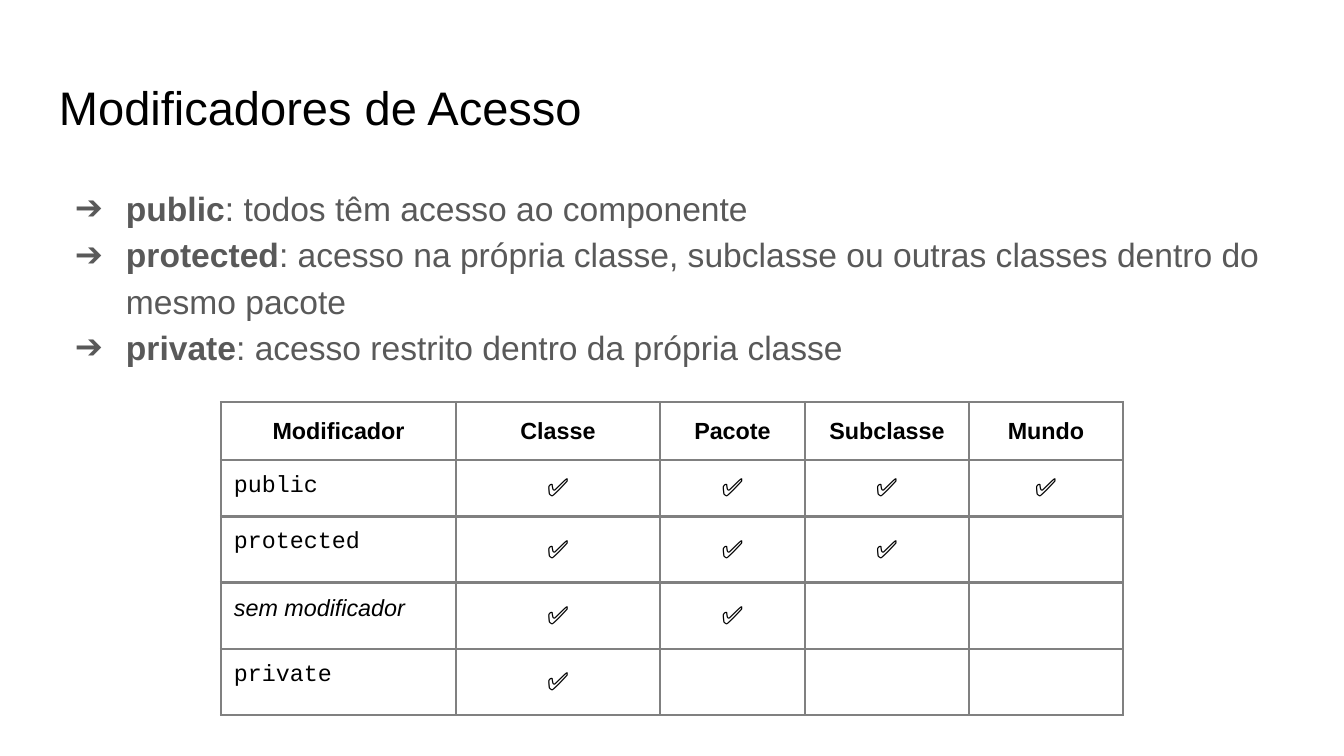
from dataclasses import dataclass
from typing import Any

from lxml import etree
from pptx import Presentation
from pptx.dml.color import RGBColor
from pptx.enum.text import MSO_ANCHOR, PP_ALIGN
from pptx.oxml.ns import qn
from pptx.util import Emu, Pt

LEFT, CENTER = PP_ALIGN.LEFT, PP_ALIGN.CENTER
TOP, MIDDLE = MSO_ANCHOR.TOP, MSO_ANCHOR.MIDDLE
SCALE = 914400 / 134.4
PAD = 13


@dataclass(frozen=True)
class Theme:
    """Colours, fonts and type sizes of the slide."""
    ink: str = "000000"
    gray: str = "595959"
    rule: str = "808080"
    paper: str = "FFFFFF"
    sans: str = "Arial"
    mono: str = "Courier New"
    title: float = 25.2
    body: float = 18
    label: float = 12.5
    mark: float = 13.5
    border: float = 1.5


@dataclass(frozen=True)
class Item:
    """A term and its meaning."""
    term: str
    text: str


@dataclass(frozen=True)
class Access:
    """A modifier and the number of scopes that it opens."""
    name: str
    count: int
    plain: bool = False


THEME = Theme()
ITEMS = [
    Item("public", ": todos têm acesso ao componente"),
    Item("protected", ": acesso na própria classe, subclasse ou outras classes dentro do mesmo pacote"),
    Item("private", ": acesso restrito dentro da própria classe"),
]
HEADS = ["Modificador", "Classe", "Pacote", "Subclasse", "Mundo"]
ROWS = [
    Access("public", 4),
    Access("protected", 3),
    Access("sem modificador", 2, plain=True),
    Access("private", 1),
]
WIDTHS = [235, 204, 145, 164, 154]
HEIGHTS = [57, 55, 64, 64, 65]


def px(size: float) -> Emu:
    """Turn pixels into EMU."""
    return Emu(round(size * SCALE))


def apply(target: Any, values: dict[str, Any]) -> None:
    """Set each named attribute of the target."""
    for name, value in values.items():
        setattr(target, name, value)


def pad(target: Any) -> None:
    """Give a text frame or cell equal insets."""
    apply(target, {f"margin_{side}": px(PAD) for side in ("left", "right", "top", "bottom")})


def write(para: Any, text: str, size: float, color: str = THEME.ink, **style: Any) -> None:
    """Add one run of styled text."""
    run = para.add_run()
    run.text = text
    apply(run.font, {"name": THEME.sans, "size": Pt(size), "bold": False} | style)
    run.font.color.rgb = RGBColor.from_string(color)


def add_box(slide: Any, top: int, height: int) -> Any:
    """Add a wrapped text box and return its frame."""
    frame = slide.shapes.add_textbox(px(46), px(top), px(1252), px(height)).text_frame
    apply(frame, {"word_wrap": True, "vertical_anchor": TOP})
    pad(frame)
    return frame


def add_bullet(para: Any) -> None:
    """Give a paragraph a hanging arrow bullet."""
    props = para._p.get_or_add_pPr()
    props.set("marL", str(px(67)))
    props.set("indent", str(-px(51)))
    tint = etree.SubElement(props, qn("a:buClr"))
    etree.SubElement(tint, qn("a:srgbClr"), val=THEME.gray)
    etree.SubElement(props, qn("a:buFont"), typeface=THEME.sans)
    etree.SubElement(props, qn("a:buChar"), char="➔")


def add_list(slide: Any) -> None:
    """Draw the list of modifiers."""
    frame = add_box(slide, 169, 503)
    for index, item in enumerate(ITEMS):
        para = frame.add_paragraph() if index else frame.paragraphs[0]
        para.line_spacing = 1.15
        add_bullet(para)
        write(para, item.term, THEME.body, THEME.gray, bold=True)
        write(para, item.text, THEME.body, THEME.gray)


def add_border(cell: Any) -> None:
    """Draw the four borders of a cell."""
    props = cell._tc.get_or_add_tcPr()
    for index, side in enumerate("LRTB"):
        line = etree.Element(qn(f"a:ln{side}"), w=str(Pt(THEME.border)))
        fill = etree.SubElement(line, qn("a:solidFill"))
        etree.SubElement(fill, qn("a:srgbClr"), val=THEME.rule)
        props.insert(index, line)


def fill_cell(cell: Any, row: int, col: int) -> None:
    """Write the header, name or mark of a cell."""
    para = cell.text_frame.paragraphs[0]
    para.alignment = CENTER if row == 0 or col else LEFT
    cell.vertical_anchor = MIDDLE if row and col else TOP
    if row == 0:
        para.line_spacing = 1.15
        write(para, HEADS[col], THEME.label, bold=True)
        return
    access = ROWS[row - 1]
    if col == 0:
        face = THEME.sans if access.plain else THEME.mono
        write(para, access.name, THEME.label, name=face, italic=access.plain)
    elif col <= access.count:
        write(para, "✅", THEME.mark)


def add_grid(slide: Any) -> None:
    """Draw the table of access rights."""
    frame = slide.shapes.add_table(
        len(HEIGHTS), len(WIDTHS), px(221), px(402), px(sum(WIDTHS)), px(sum(HEIGHTS)))
    table = frame.table
    apply(table, {"first_row": False, "horz_banding": False})
    for col, width in zip(table.columns, WIDTHS):
        col.width = px(width)
    for row, height in enumerate(HEIGHTS):
        table.rows[row].height = px(height)
        for col in range(len(WIDTHS)):
            cell = table.cell(row, col)
            pad(cell)
            cell.fill.background()
            add_border(cell)
            fill_cell(cell, row, col)


def main() -> None:
    """Build and save the slide."""
    deck = Presentation()
    apply(deck, {"slide_width": px(1344), "slide_height": px(756)})
    slide = deck.slides.add_slide(deck.slide_layouts[6])
    back = slide.background.fill
    back.solid()
    back.fore_color.rgb = RGBColor.from_string(THEME.paper)
    title = add_box(slide, 66, 85)
    write(title.paragraphs[0], "Modificadores de Acesso", THEME.title)
    add_list(slide)
    add_grid(slide)
    deck.save("out.pptx")


main()
